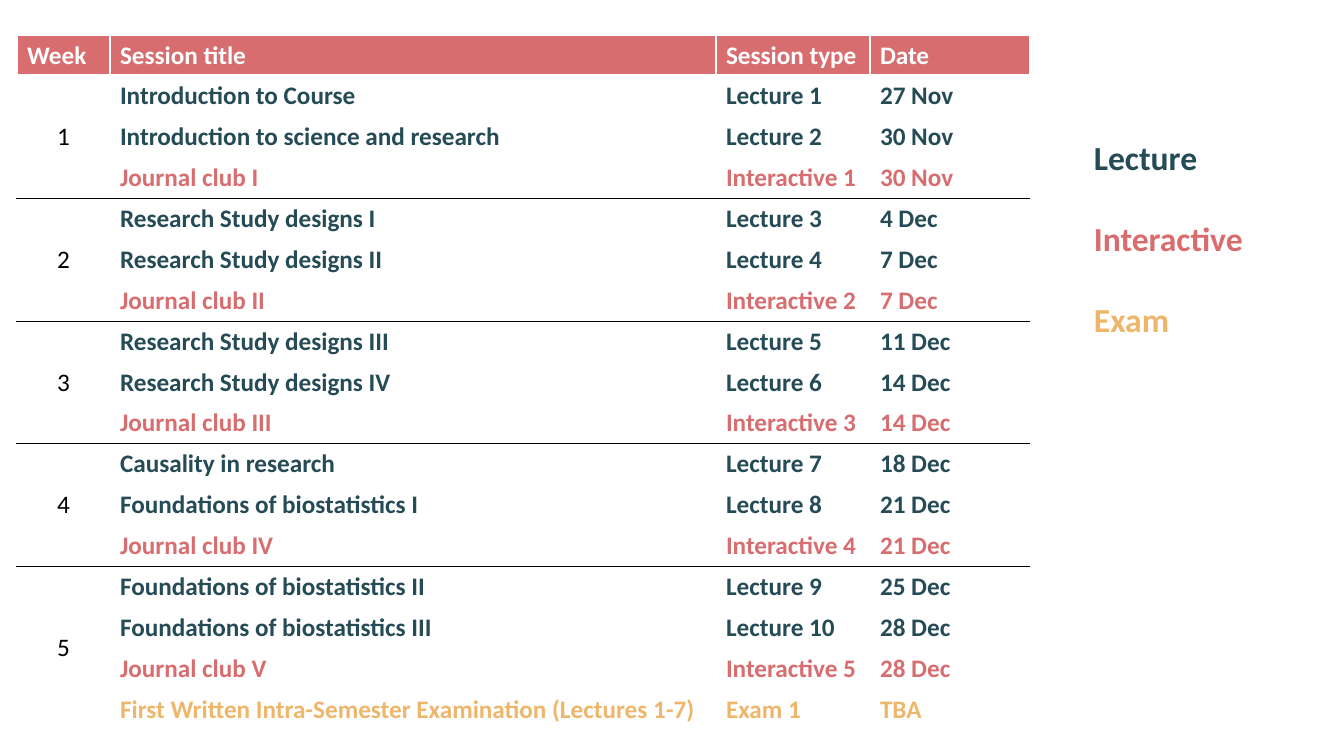
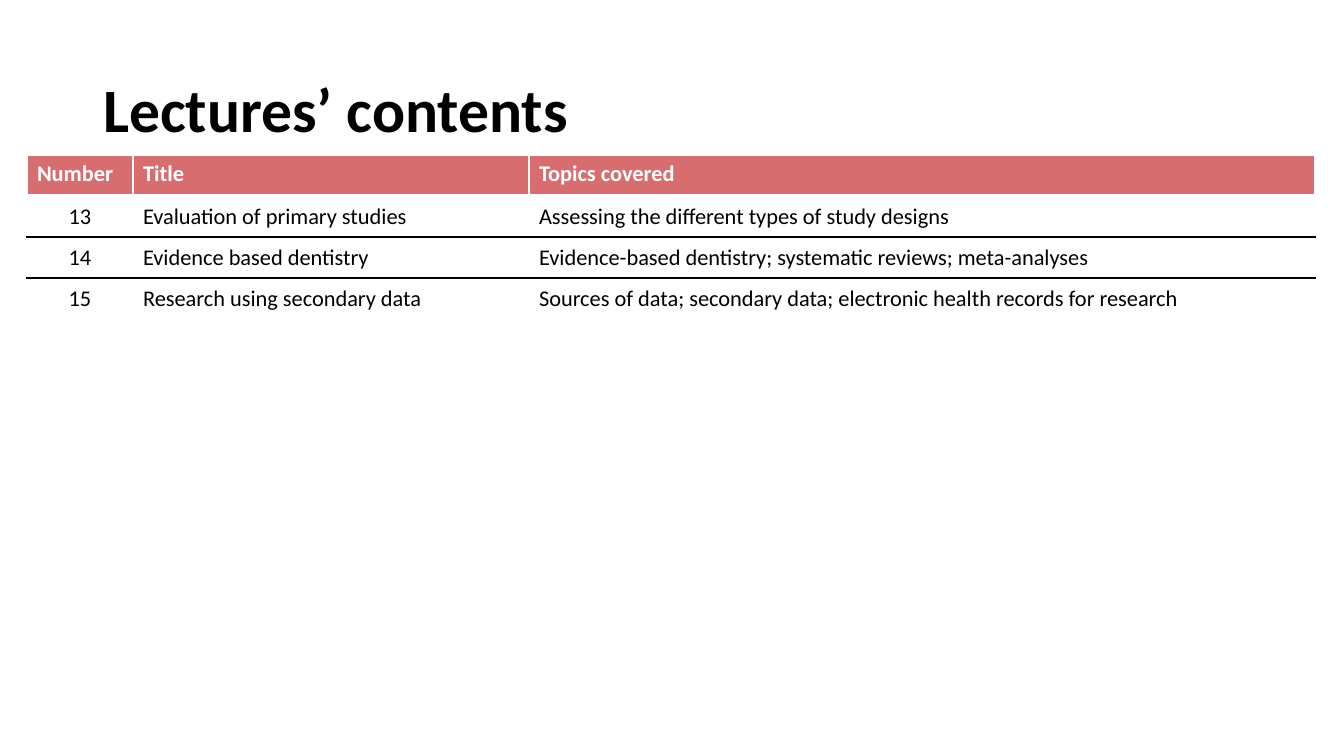
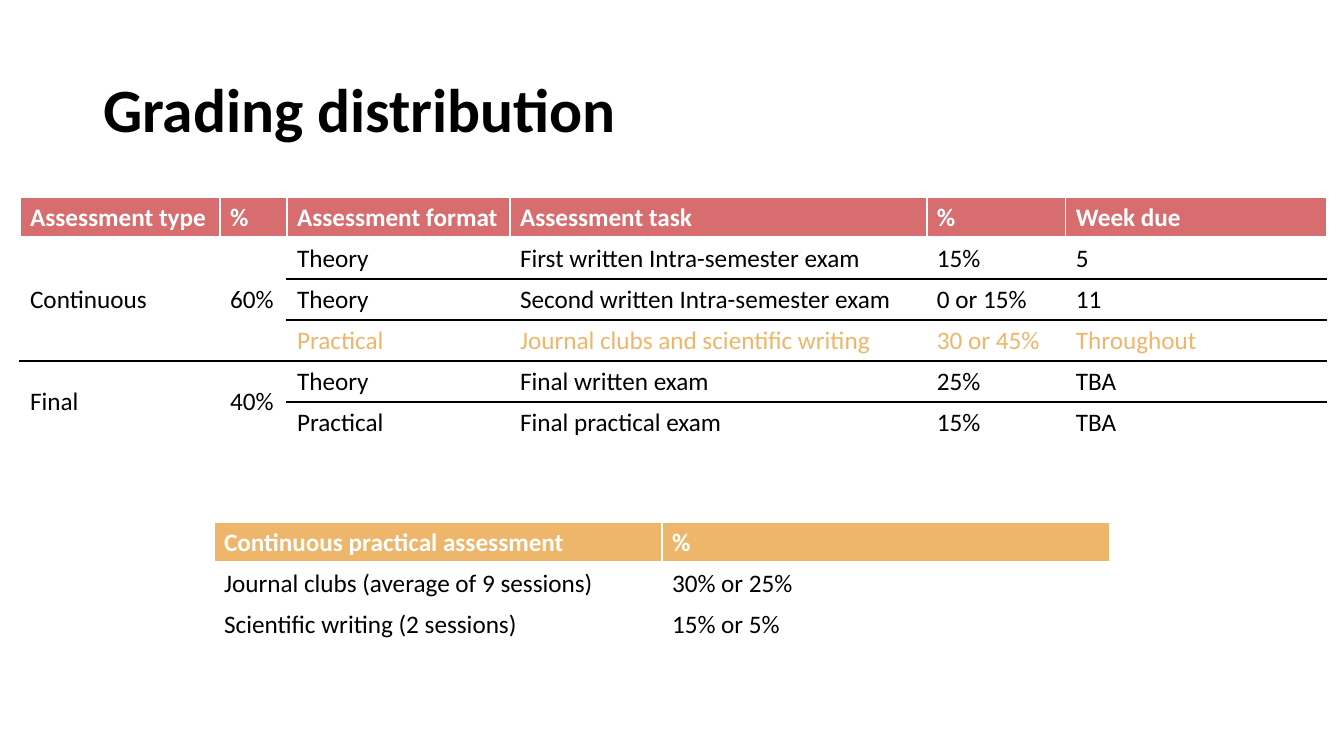
import pptx
import pptx.dml.color
import pptx.enum.text
import pptx.oxml
import pptx.oxml.ns
import pptx.util

RGBColor = pptx.dml.color.RGBColor
ALIGN = pptx.enum.text.PP_ALIGN
ANCHOR = pptx.enum.text.MSO_ANCHOR

WHITE = RGBColor(0xFF, 0xFF, 0xFF)
BLACK = RGBColor(0x00, 0x00, 0x00)
CORAL = RGBColor(0xD7, 0x6D, 0x6F)
TEAL = RGBColor(0x25, 0x4B, 0x56)
AMBER = RGBColor(0xEE, 0xB6, 0x6B)
SESSION_COLOURS = {"Lecture": TEAL, "Interactive": CORAL, "Exam": AMBER}
FONT = "Calibri"
PIXEL = 914400 / 100.8

SCHEDULE_HEAD = ("Week", "Session title", "Session type", "Date")
SCHEDULE = [
    (("1",), [("Introduction to Course", "Lecture 1", "27 Nov"),
              ("Introduction to science and research", "Lecture 2", "30 Nov"),
              ("Journal club I", "Interactive 1", "30 Nov")]),
    (("2",), [("Research Study designs I", "Lecture 3", "4 Dec"),
              ("Research Study designs II", "Lecture 4", "7 Dec"),
              ("Journal club II", "Interactive 2", "7 Dec")]),
    (("3",), [("Research Study designs III", "Lecture 5", "11 Dec"),
              ("Research Study designs IV", "Lecture 6", "14 Dec"),
              ("Journal club III", "Interactive 3", "14 Dec")]),
    (("4",), [("Causality in research", "Lecture 7", "18 Dec"),
              ("Foundations of biostatistics I", "Lecture 8", "21 Dec"),
              ("Journal club IV", "Interactive 4", "21 Dec")]),
    (("5",), [("Foundations of biostatistics II", "Lecture 9", "25 Dec"),
              ("Foundations of biostatistics III", "Lecture 10", "28 Dec"),
              ("Journal club V", "Interactive 5", "28 Dec"),
              ("First Written Intra-Semester Examination (Lectures 1-7)",
               "Exam 1", "TBA")]),
]

LECTURES_HEAD = ("Number", "Title", "Topics covered")
LECTURES = [
    (("13",), [("Evaluation of primary studies",
                "Assessing the different types of study designs")]),
    (("14",), [("Evidence based dentistry",
                "Evidence-based dentistry; systematic reviews; meta-analyses")]),
    (("15",), [("Research using secondary data",
                "Sources of data; secondary data; "
                "electronic health records for research")]),
]

GRADING_HEAD = ("Assessment type", "%", "Assessment format",
                "Assessment task", "%", "Week due")
GRADING = [
    (("Continuous", "60%"), [
        ("Theory", "First written Intra-semester exam", "15%", "5"),
        ("Theory", "Second written Intra-semester exam", "0 or 15%", "11"),
        ("Practical", "Journal clubs and scientific writing",
         "30 or 45%", "Throughout")]),
    (("Final", "40%"), [
        ("Theory", "Final written exam", "25%", "TBA"),
        ("Practical", "Final practical exam", "15%", "TBA")]),
]

PRACTICAL_HEAD = ("Continuous practical assessment", "%")
PRACTICAL = [
    ((), [("Journal clubs (average of 9 sessions)", "30% or 25%"),
          ("Scientific writing (2 sessions)", "15% or 5%")]),
]


def px(length):
    return pptx.util.Emu(round(length * PIXEL))


def write(frame, lines, size=18, colours=(BLACK,), bold=False,
          align=ALIGN.LEFT, leading=None, gap=0):
    for index, line in enumerate(lines):
        paragraph = frame.paragraphs[0] if index == 0 else frame.add_paragraph()
        paragraph.alignment = align
        if leading:
            paragraph.line_spacing = leading
        if index and gap:
            paragraph.space_before = pptx.util.Pt(gap)
        run = paragraph.add_run()
        run.text = line
        run.font.name = FONT
        run.font.size = pptx.util.Pt(size)
        run.font.bold = bold
        run.font.color.rgb = colours[index]


def set_borders(cell, top=WHITE, bottom=WHITE, bottom_width=1):
    properties = cell._tc.get_or_add_tcPr()
    edges = (("L", WHITE, 1), ("R", WHITE, 1), ("T", top, 1),
             ("B", bottom, bottom_width))
    for side, colour, width in edges:
        properties.append(pptx.oxml.parse_xml(
            f'<a:ln{side} {pptx.oxml.ns.nsdecls("a")} w="{width * 12700}">'
            f'<a:solidFill><a:srgbClr val="{colour}"/></a:solidFill>'
            f'</a:ln{side}>'))


def set_fill(cell, colour):
    if colour is None:
        cell.fill.background()
    else:
        cell.fill.solid()
        cell.fill.fore_color.rgb = colour


def add_grouped_table(slide, head, groups, left, top, widths, row_height=41,
                      size=18, head_fill=CORAL, body_fill=None, bold=False,
                      lead_align=ALIGN.LEFT, inner_rules=False,
                      tint=lambda row: BLACK):
    row_count = 1 + sum(len(rows) for lead, rows in groups)
    table = slide.shapes.add_table(
        row_count, len(head), px(left), px(top),
        px(sum(widths)), px(row_height * row_count)).table
    table.horz_banding = False
    for column, width in zip(table.columns, widths):
        column.width = px(width)
    for row in table.rows:
        row.height = px(row_height)

    for column, label in enumerate(head):
        cell = table.cell(0, column)
        write(cell.text_frame, [label], size=size, colours=[WHITE], bold=True)
        set_borders(cell, bottom_width=3)
        set_fill(cell, head_fill)

    first = 1
    for lead, rows in groups:
        last = first + len(rows) - 1
        group_top = BLACK if first > 1 else WHITE
        group_bottom = BLACK if last < row_count - 1 else WHITE
        for number, row in enumerate(rows, first):
            for column, label in enumerate(lead + row):
                cell = table.cell(number, column)
                in_lead = column < len(lead)
                inner = BLACK if inner_rules and not in_lead else WHITE
                closes = number == last or in_lead and number == first
                set_borders(cell,
                            top=group_top if number == first else inner,
                            bottom=group_bottom if closes else inner)
                set_fill(cell, body_fill)
                cell.vertical_anchor = ANCHOR.MIDDLE
                if not in_lead:
                    write(cell.text_frame, [label], size=size, bold=bold,
                          colours=[tint(row)])
                elif number == first:
                    write(cell.text_frame, [label], size=size, align=lead_align)
        for column in range(len(lead)):
            if last > first:
                table.cell(first, column).merge(table.cell(last, column))
        first = last + 1


def add_titled_slide(deck, heading):
    slide = deck.slides.add_slide(deck.slide_layouts[5])
    title = slide.shapes.title
    title.left, title.top, title.width, title.height = map(px, (93, 40, 1159, 146))
    title.text_frame.vertical_anchor = ANCHOR.MIDDLE
    title.text_frame.auto_size = pptx.enum.text.MSO_AUTO_SIZE.NONE
    write(title.text_frame, [heading], size=44, bold=True, leading=0.9)
    return slide


deck = pptx.Presentation()
deck.slide_width, deck.slide_height = px(1344), px(756)

schedule_slide = deck.slides.add_slide(deck.slide_layouts[6])
add_grouped_table(schedule_slide, SCHEDULE_HEAD, SCHEDULE, 17, 35,
                  (93, 606, 154, 160), row_height=40, bold=True,
                  lead_align=ALIGN.CENTER,
                  tint=lambda row: SESSION_COLOURS[row[1].split()[0]])
legend = schedule_slide.shapes.add_textbox(px(1084), px(132), px(228), px(214))
legend.text_frame.word_wrap = True
write(legend.text_frame, list(SESSION_COLOURS), size=24, bold=True, gap=29,
      colours=list(SESSION_COLOURS.values()))

lectures_slide = add_titled_slide(deck, "Lectures’ contents")
add_grouped_table(lectures_slide, LECTURES_HEAD, LECTURES, 27, 155,
                  (106, 396, 786), size=16, body_fill=WHITE,
                  lead_align=ALIGN.CENTER)

grading_slide = add_titled_slide(deck, "Grading distribution")
add_grouped_table(grading_slide, GRADING_HEAD, GRADING, 20, 197,
                  (200, 67, 223, 417, 139, 261), inner_rules=True,
                  tint=lambda row: AMBER if row[-1] == "Throughout" else BLACK)
add_grouped_table(grading_slide, PRACTICAL_HEAD, PRACTICAL, 214, 522,
                  (448, 448), head_fill=AMBER)

deck.save("out.pptx")
